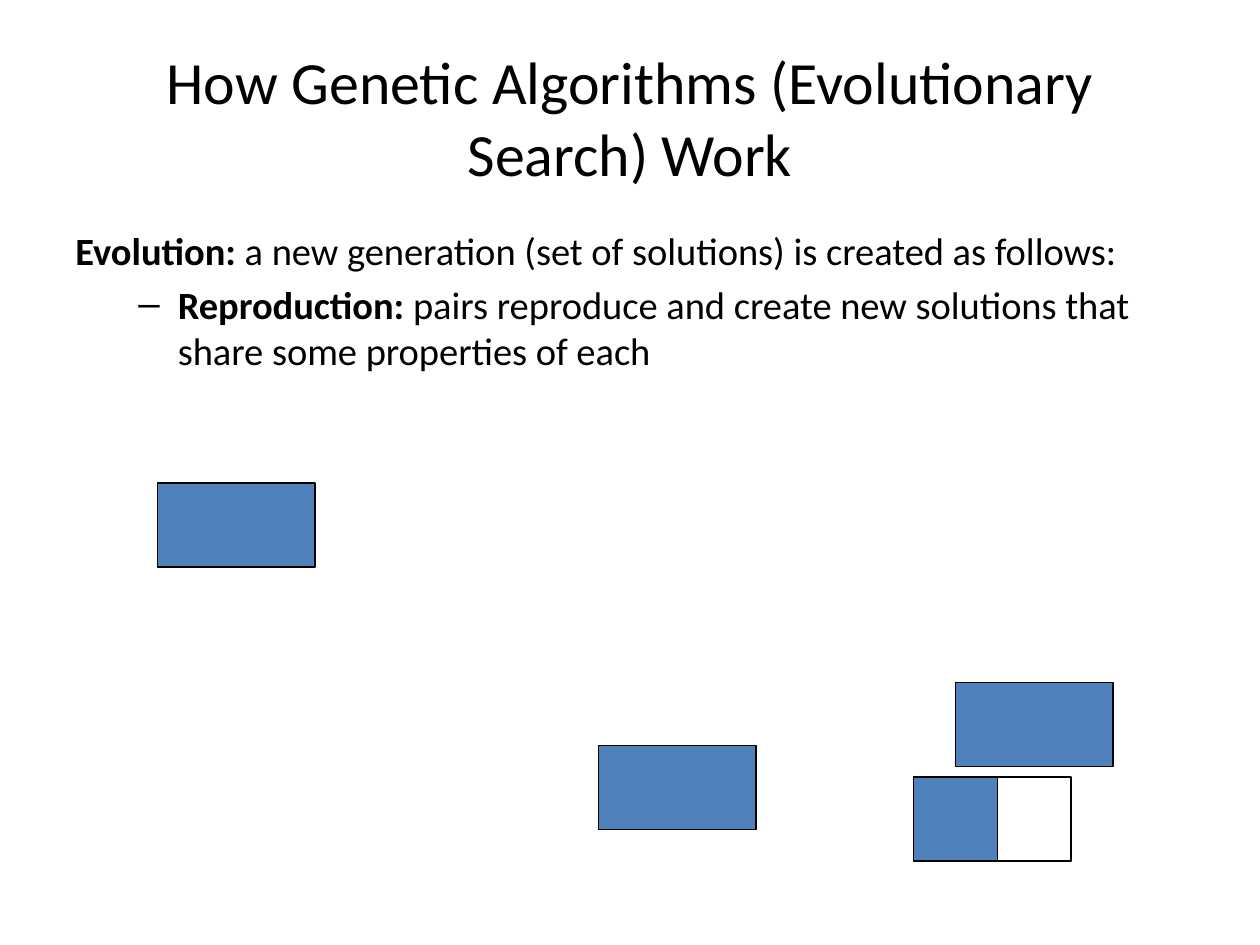
"""Build the slide on how reproduction works in genetic algorithms."""

from dataclasses import dataclass

from lxml.etree import SubElement
from pptx import Presentation
from pptx.dml.color import RGBColor
from pptx.enum.shapes import MSO_SHAPE
from pptx.enum.text import MSO_ANCHOR, PP_ALIGN
from pptx.oxml.ns import qn
from pptx.shapes.shapetree import GroupShapes, SlideShapes
from pptx.slide import Slide
from pptx.text.text import TextFrame, _Paragraph
from pptx.util import Emu, Pt

EMU_PER_PX = 9525
BLACK = RGBColor(0x00, 0x00, 0x00)
BLUE = RGBColor(0x4F, 0x81, 0xBD)
FONT = "Calibri"
TITLE_SIZE = 34.2
BODY_SIZE = 22
SOLUTION_WIDTH = 120
SOLUTION_HEIGHT = 64
INHERITED_WIDTH = 64


@dataclass(frozen=True)
class Block:
    left: int
    top: int
    width: int = SOLUTION_WIDTH
    height: int = SOLUTION_HEIGHT
    fill: RGBColor | None = BLUE


@dataclass(frozen=True)
class Span:
    text: str
    bold: bool = False


TITLE_AREA = Block(48, 29, 864, 120)
BODY_AREA = Block(48, 168, 840, 475)
SOLUTIONS = (Block(456, 568), Block(120, 368), Block(728, 520))
OFFSPRING = (
    Block(696, 592, INHERITED_WIDTH),
    Block(696 + INHERITED_WIDTH, 592, SOLUTION_WIDTH - INHERITED_WIDTH, fill=None),
)
TITLE = (Span("How Genetic Algorithms (Evolutionary Search) Work"),)
EVOLUTION = (
    Span("Evolution:", True),
    Span(" a new generation (set of solutions) is created as follows:"),
)
REPRODUCTION = (
    Span("Reproduction:", True),
    Span(" pairs reproduce and create new solutions that share some properties of each"),
)


def px(length: int) -> Emu:
    """Turn pixels into EMU."""
    return Emu(length * EMU_PER_PX)


def bounds(block: Block) -> tuple[Emu, Emu, Emu, Emu]:
    """Return the position and size of a block in EMU."""
    return px(block.left), px(block.top), px(block.width), px(block.height)


def add_text_area(page: Slide, area: Block) -> TextFrame:
    """Add a wrapping text box and return its frame."""
    frame = page.shapes.add_textbox(*bounds(area)).text_frame
    frame.word_wrap = True
    return frame


def indent(paragraph: _Paragraph, margin: int, first_line: int) -> None:
    """Set the left margin and first-line indent of a paragraph."""
    properties = paragraph._p.get_or_add_pPr()
    properties.set("marL", str(px(margin)))
    properties.set("indent", str(px(first_line)))


def add_bullet(paragraph: _Paragraph, mark: str) -> None:
    """Give a paragraph a bullet character."""
    properties = paragraph._p.get_or_add_pPr()
    SubElement(properties, qn("a:buFont"), typeface="Arial")
    SubElement(properties, qn("a:buChar"), char=mark)


def write(paragraph: _Paragraph, spans: tuple[Span, ...], size: float) -> None:
    """Add the spans to a paragraph run by run."""
    for span in spans:
        run = paragraph.add_run()
        run.text = span.text
        run.font.name = FONT
        run.font.size = Pt(size)
        run.font.bold = span.bold
        run.font.color.rgb = BLACK


def draw_block(shapes: SlideShapes | GroupShapes, block: Block) -> None:
    """Draw one outlined rectangle."""
    box = shapes.add_shape(MSO_SHAPE.RECTANGLE, *bounds(block))
    box.shadow.inherit = False
    box.line.color.rgb = BLACK
    box.line.width = Pt(0.75)
    if block.fill is None:
        box.fill.background()
    else:
        box.fill.solid()
        box.fill.fore_color.rgb = block.fill


def draw_title(page: Slide) -> None:
    """Draw the centred title."""
    frame = add_text_area(page, TITLE_AREA)
    frame.vertical_anchor = MSO_ANCHOR.MIDDLE
    heading = frame.paragraphs[0]
    heading.alignment = PP_ALIGN.CENTER
    write(heading, TITLE, TITLE_SIZE)


def draw_body(page: Slide) -> None:
    """Draw the statement and its bulleted explanation."""
    frame = add_text_area(page, BODY_AREA)
    statement = frame.paragraphs[0]
    indent(statement, 36, -36)
    write(statement, EVOLUTION, BODY_SIZE)

    detail = frame.add_paragraph()
    detail.level = 1
    detail.space_before = Pt(4.4)
    indent(detail, 78, -30)
    add_bullet(detail, "–")
    write(detail, REPRODUCTION, BODY_SIZE)


def main() -> None:
    """Build and save the deck."""
    deck = Presentation()
    deck.slide_width = px(960)
    deck.slide_height = px(720)
    page = deck.slides.add_slide(deck.slide_layouts[6])
    draw_title(page)
    draw_body(page)
    for solution in SOLUTIONS:
        draw_block(page.shapes, solution)
    offspring = page.shapes.add_group_shape()
    for part in OFFSPRING:
        draw_block(offspring.shapes, part)
    deck.save("out.pptx")


if __name__ == "__main__":
    main()
